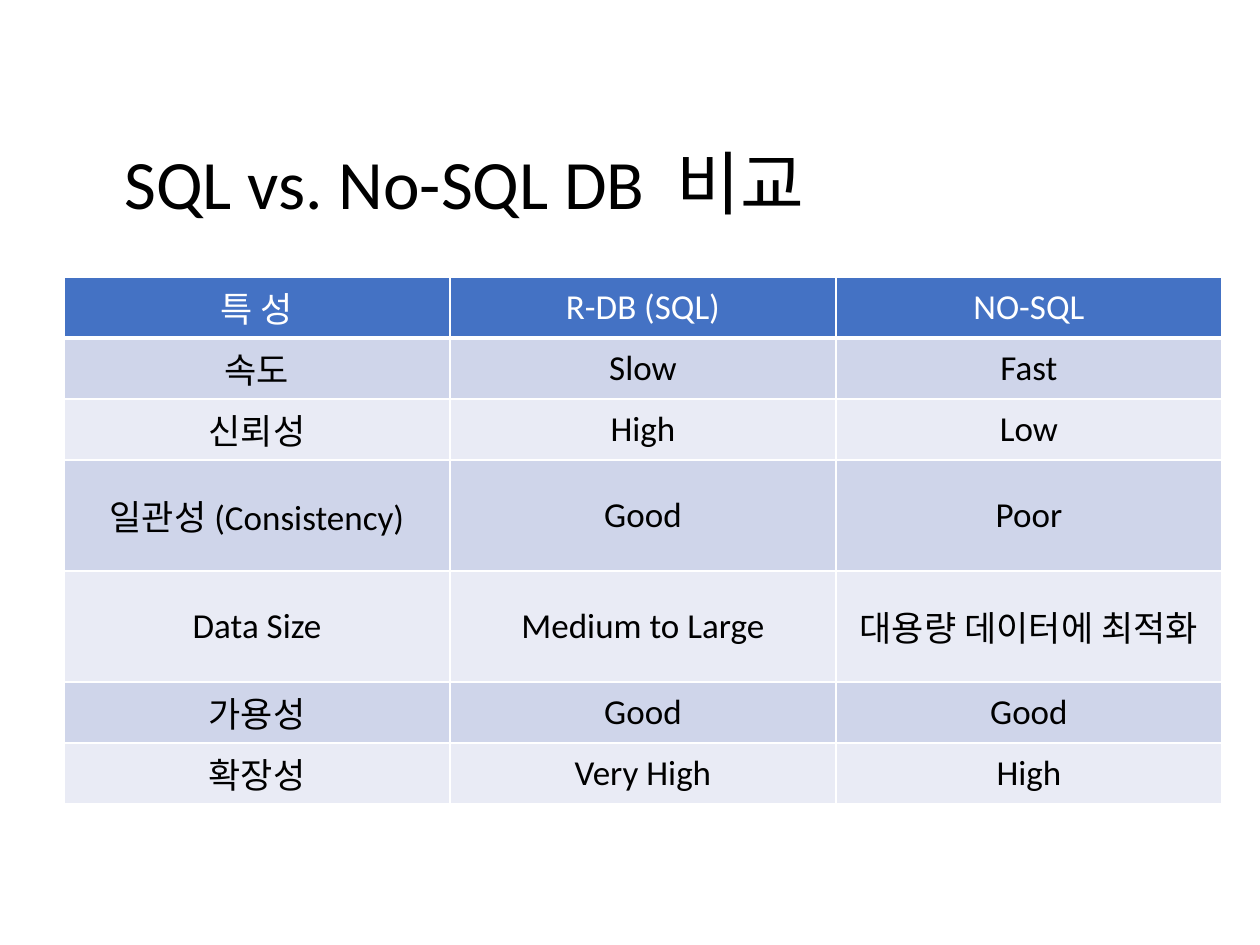
from lxml.etree import SubElement
from pptx import Presentation
from pptx.dml.color import RGBColor
from pptx.enum.text import MSO_ANCHOR, PP_ALIGN
from pptx.oxml.ns import qn
from pptx.util import Pt

TITLE = "SQL vs. No-SQL DB  비교"
ROWS = [
    ("특 성", "R-DB (SQL)", "NO-SQL"),
    ("속도", "Slow", "Fast"),
    ("신뢰성", "High", "Low"),
    ("일관성 (Consistency)", "Good", "Poor"),
    ("Data Size", "Medium to Large", "대용량 데이터에 최적화"),
    ("가용성", "Good", "Good"),
    ("확장성", "Very High", "High"),
]
TALL = {3, 4}
SHORT_H, TALL_H, COL_W = 61, 111, 386

BLACK = RGBColor(0x00, 0x00, 0x00)
WHITE = RGBColor(0xFF, 0xFF, 0xFF)
BLUE = RGBColor(0x44, 0x72, 0xC4)
BANDS = (RGBColor(0xE9, 0xEB, 0xF5), RGBColor(0xCF, 0xD5, 0xEA))
SCALE = 914400 / 126


def px(n):
    return round(n * SCALE)


def write(frame, text, size=20, color=BLACK, align=PP_ALIGN.CENTER, lead=1.0):
    para = frame.paragraphs[0]
    para.alignment = align
    para.line_spacing = lead
    run = para.add_run()
    run.text = text
    font = run.font
    font.name, font.size, font.bold = "Calibri", Pt(size), False
    font.color.rgb = color


def edge(cell, widths):
    props = cell._tc.get_or_add_tcPr()
    for spot, (side, width) in enumerate(widths.items()):
        line = SubElement(props, qn(f"a:ln{side}"), w=str(Pt(width)))
        fill = SubElement(line, qn("a:solidFill"))
        SubElement(fill, qn("a:srgbClr"), val=str(WHITE))
        props.insert(spot, line)


def add_title(slide):
    box = slide.shapes.add_textbox(px(112), px(141), px(1086), px(92))
    frame = box.text_frame
    frame.word_wrap = True
    frame.vertical_anchor = MSO_ANCHOR.MIDDLE
    write(frame, TITLE, size=39.6, align=PP_ALIGN.LEFT, lead=0.9)


def add_grid(slide):
    highs = [TALL_H if i in TALL else SHORT_H for i in range(len(ROWS))]
    cols = len(ROWS[0])
    table = slide.shapes.add_table(
        len(ROWS), cols, px(64), px(277), px(COL_W * cols), px(sum(highs))
    ).table
    table.first_row = table.horz_banding = False
    for col in table.columns:
        col.width = px(COL_W)
    for i, (row, texts) in enumerate(zip(table.rows, ROWS)):
        row.height = px(highs[i])
        for cell, text in zip(row.cells, texts):
            cell.vertical_anchor = MSO_ANCHOR.MIDDLE
            cell.margin_left = cell.margin_right = px(9)
            cell.margin_top = cell.margin_bottom = px(5)
            cell.fill.solid()
            cell.fill.fore_color.rgb = BANDS[i % 2] if i else BLUE
            top, low = 3 if i == 1 else 1, 1 if i else 3
            edge(cell, {"L": 1, "R": 1, "T": top, "B": low})
            write(cell.text_frame, text, color=BLACK if i else WHITE)


def main():
    deck = Presentation()
    deck.slide_width, deck.slide_height = px(1260), px(945)
    slide = deck.slides.add_slide(deck.slide_layouts[6])
    add_title(slide)
    add_grid(slide)
    deck.save("out.pptx")


if __name__ == "__main__":
    main()
